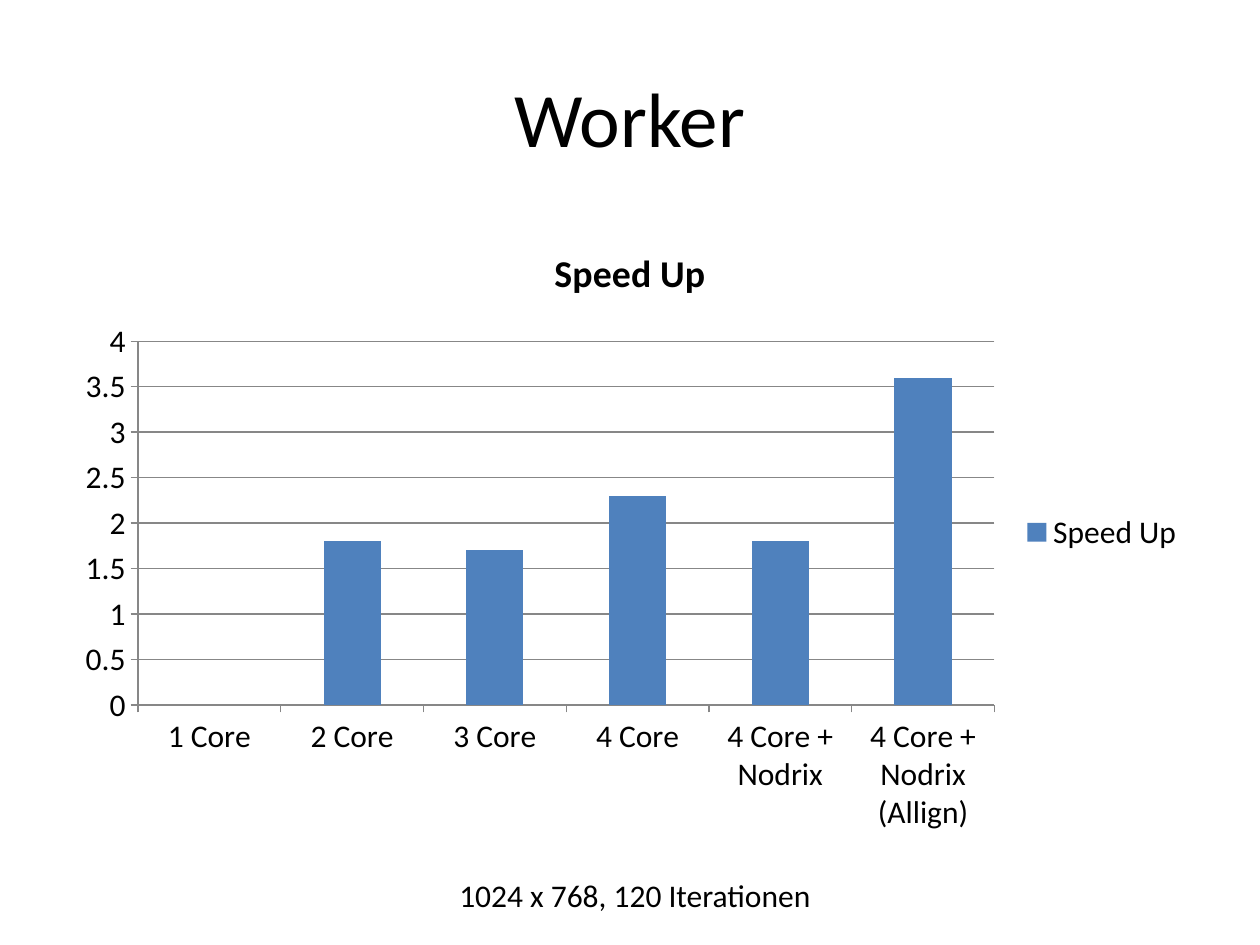
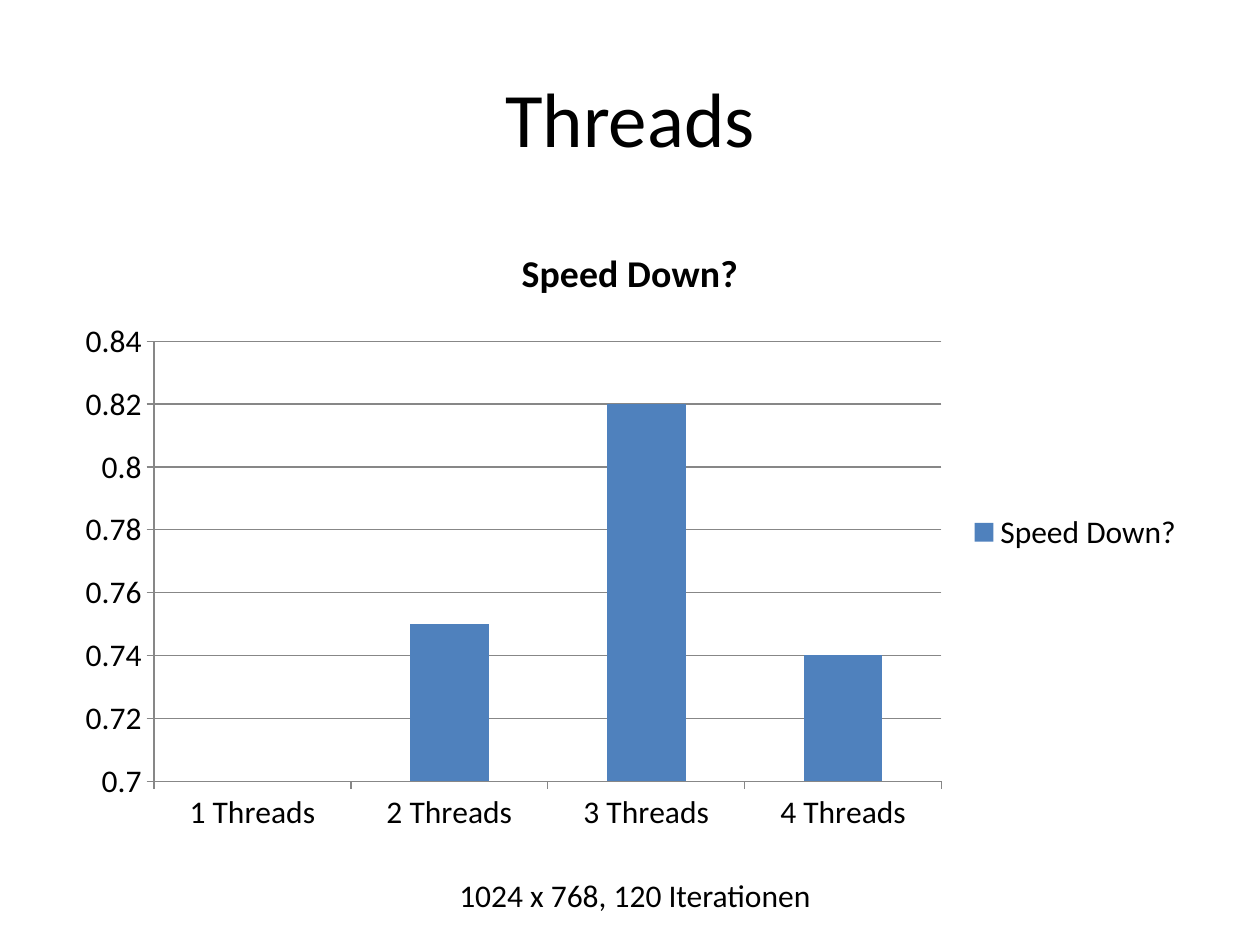
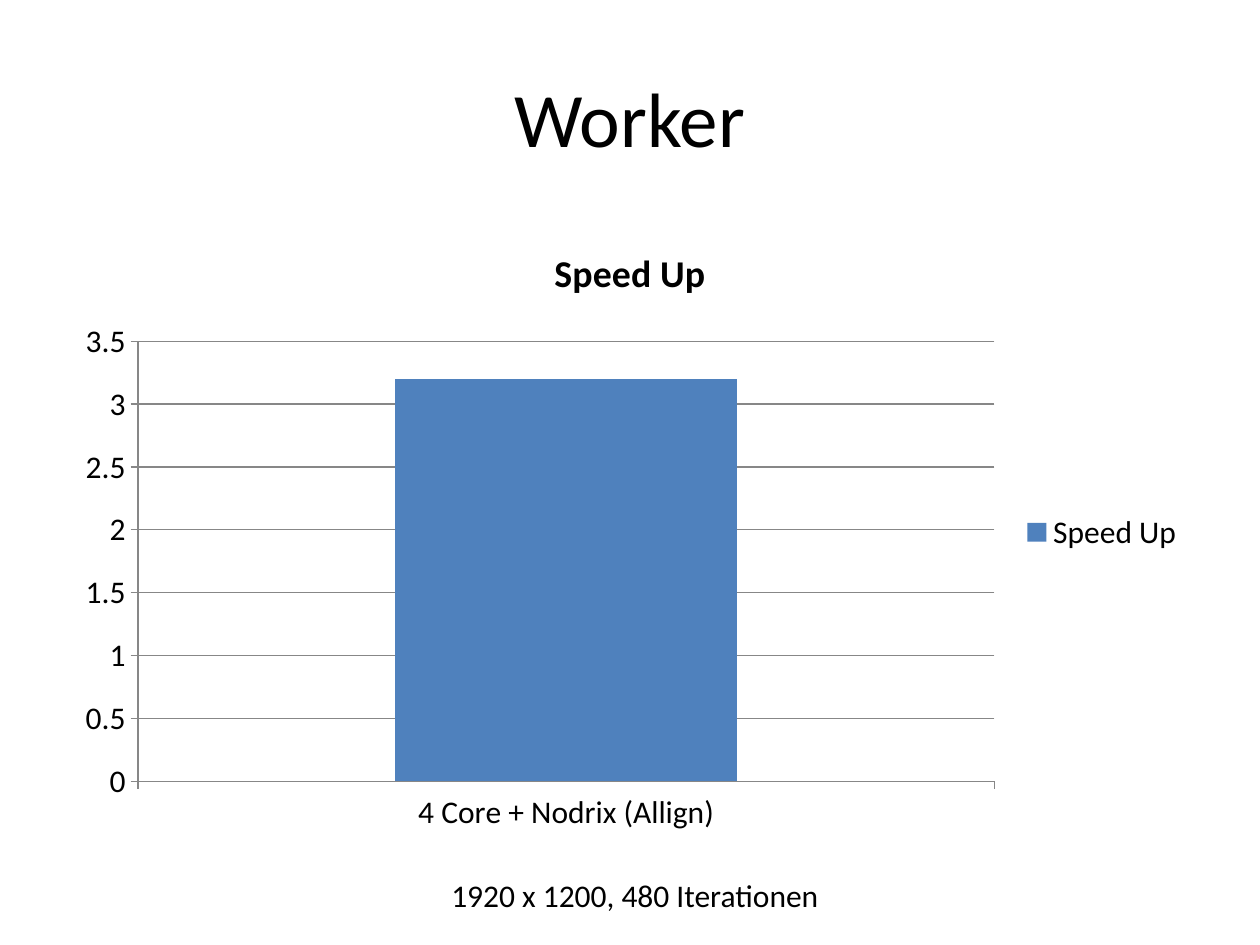
from pptx import Presentation
from pptx import util as u
from pptx.chart import data
from pptx.dml import color
from pptx.enum import chart as charts, text

COLORS = {"ink": "000000", "bar": "4F81BD", "rule": "878787", "paper": "FFFFFF"}
FONT = "Calibri"
SIZES = {"title": 44, "body": 18, "chart_title": 21.6}
TITLE_ONLY = 5

# Boxes as left, top, width, height in cells of a 20 x 150 grid
COLUMNS, ROWS = 20, 150
BOXES = {
    "title": (1, 6, 18, 25),
    "chart": (1, 35, 18, 99),
    "caption": (1.18, 138, 17.8, 8),
}


class Deck:
    """Shared style and the slide being built."""

    def __init__(self):
        self.show = Presentation()
        self.show.slide_width, self.show.slide_height = u.Inches(10), u.Inches(7.5)
        self.slide = None

    def box(self, part):
        left, top, width, height = BOXES[part]
        column = self.show.slide_width / COLUMNS
        row = self.show.slide_height / ROWS
        return [int(n) for n in (left * column, top * row, width * column, height * row)]

    def rgb(self, key):
        return color.RGBColor.from_string(COLORS[key])

    def style(self, font, size, bold=False):
        font.name, font.size, font.bold = FONT, u.Pt(SIZES[size]), bold
        font.color.rgb = self.rgb("ink")

    def centred_line(self, frame, words, size):
        frame.text = words
        frame.word_wrap = True
        line = frame.paragraphs[0]
        line.alignment = text.PP_ALIGN.CENTER
        self.style(line.runs[0].font, size)

    def start(self, heading):
        self.slide = self.show.slides.add_slide(self.show.slide_layouts[TITLE_ONLY])
        background = self.slide.background.fill
        background.solid()
        background.fore_color.rgb = self.rgb("paper")
        title = self.slide.shapes.title
        title.left, title.top, title.width, title.height = self.box("title")
        self.centred_line(title.text_frame, heading, "title")
        title.text_frame.vertical_anchor = text.MSO_ANCHOR.MIDDLE

    def columns(self, measure, results, scale):
        figures = data.CategoryChartData()
        figures.categories = list(results)
        figures.add_series(measure, list(results.values()))
        chart = self.slide.shapes.add_chart(
            charts.XL_CHART_TYPE.COLUMN_CLUSTERED, *self.box("chart"), figures).chart
        self.style(chart.font, "body")

        # Heading and legend
        chart.has_title = True
        chart.chart_title.text_frame.text = measure
        heading = chart.chart_title.text_frame.paragraphs[0].runs[0]
        self.style(heading.font, "chart_title", bold=True)
        chart.chart_title.include_in_layout = False
        chart.has_legend = True
        chart.legend.position = charts.XL_LEGEND_POSITION.RIGHT
        chart.legend.include_in_layout = False

        # Bars
        plot = chart.plots[0]
        plot.gap_width, plot.vary_by_categories = 150, False
        fill = plot.series[0].format.fill
        fill.solid()
        fill.fore_color.rgb = self.rgb("bar")

        # Axes
        values = chart.value_axis
        values.minimum_scale, values.maximum_scale, values.major_unit = scale
        values.has_major_gridlines = True
        values.tick_labels.number_format = "General"
        values.tick_labels.number_format_is_linked = False
        for axis in (chart.category_axis, values):
            axis.major_tick_mark = charts.XL_TICK_MARK.OUTSIDE
            axis.minor_tick_mark = charts.XL_TICK_MARK.NONE
        for rule in (chart.category_axis, values, values.major_gridlines):
            rule.format.line.color.rgb = self.rgb("rule")
            rule.format.line.width = u.Pt(0.75)

    def caption(self, words):
        frame = self.slide.shapes.add_textbox(*self.box("caption")).text_frame
        self.centred_line(frame, words, "body")
        frame.auto_size = text.MSO_AUTO_SIZE.SHAPE_TO_FIT_TEXT


# Content: heading, measure, results, (minimum, maximum, step), caption
SMALL_RUN = "1024 x 768, 120 Iterationen"
LARGE_RUN = "1920 x 1200, 480 Iterationen"
BOARD = "4 Core + Nodrix"
ALIGNED = f"{BOARD} (Allign)"

BENCHMARKS = [
    ("Worker", "Speed Up",
     {"1 Core": None, "2 Core": 1.8, "3 Core": 1.7, "4 Core": 2.3,
      BOARD: 1.8, ALIGNED: 3.6},
     (0, 4, 0.5), SMALL_RUN),
    ("Threads", "Speed Down?",
     {"1 Threads": None, "2 Threads": 0.75, "3 Threads": 0.82, "4 Threads": 0.74},
     (0.7, 0.84, 0.02), SMALL_RUN),
    ("Worker", "Speed Up", {ALIGNED: 3.2}, (0, 3.5, 0.5), LARGE_RUN),
]

deck = Deck()
for heading, measure, results, scale, run_size in BENCHMARKS:
    deck.start(heading)
    deck.columns(measure, results, scale)
    deck.caption(run_size)
deck.show.save("out.pptx")
